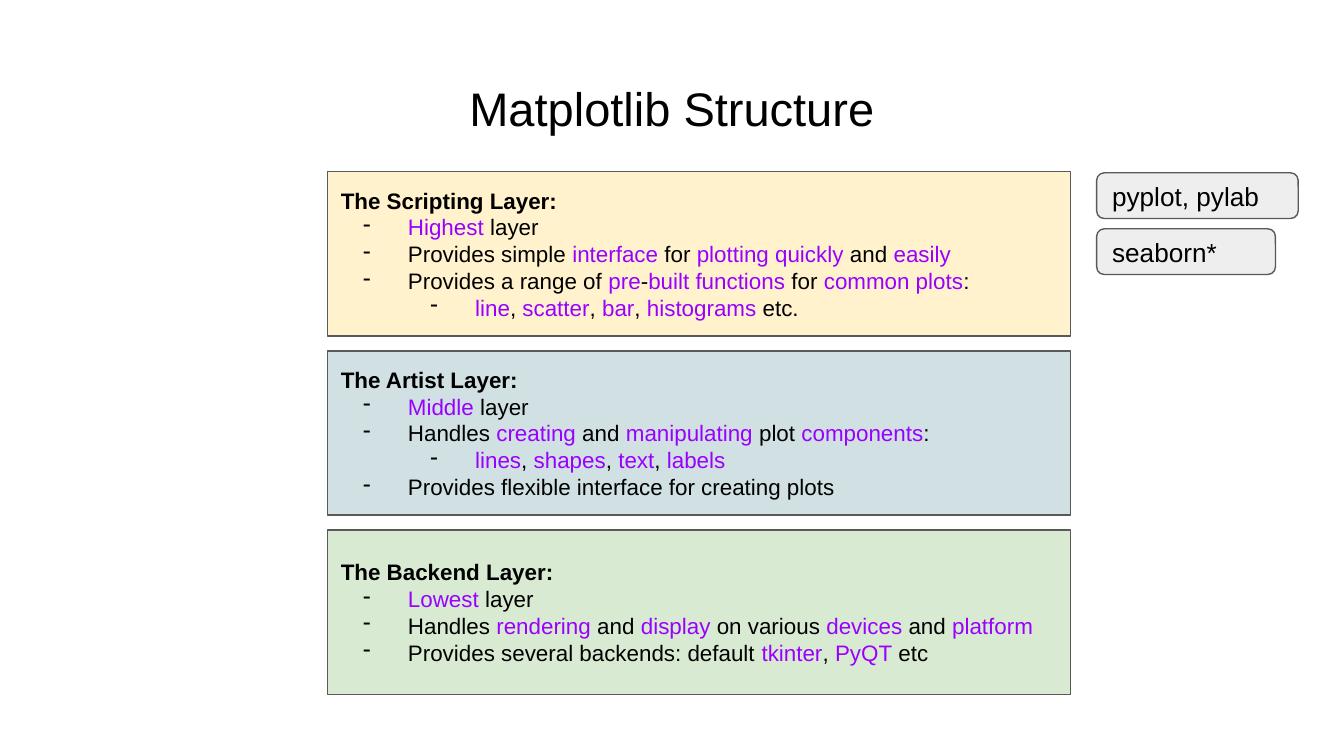
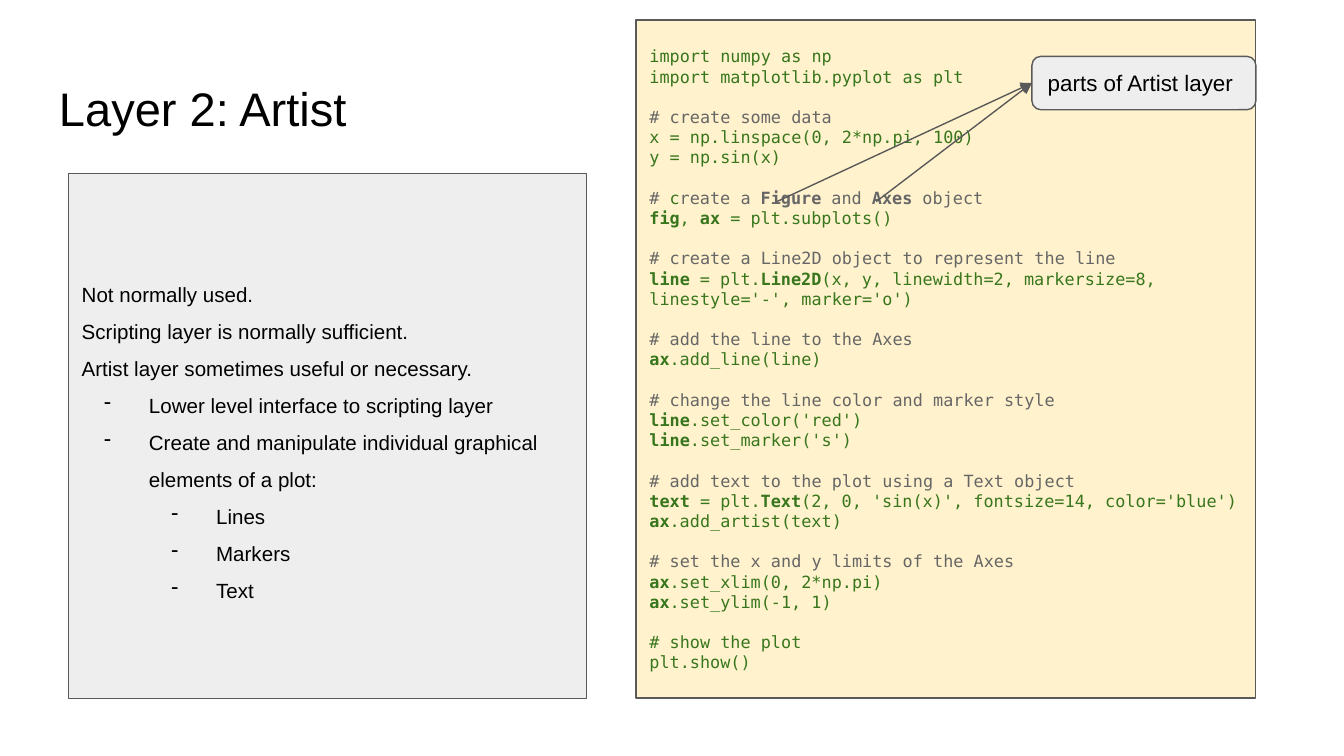
from pptx import Presentation
from pptx.dml.color import RGBColor
from pptx.enum.shapes import MSO_CONNECTOR, MSO_SHAPE
from pptx.enum.text import MSO_ANCHOR, PP_ALIGN
from pptx.oxml.ns import qn
from pptx.util import Pt
from lxml.etree import SubElement

BLACK, PURPLE, GREEN, COMMENT = "000000", "9900FF", "38761D", "666666"
OUTLINE, GREY, CREAM, BLUE, MINT = "595959", "EEEEEE", "FFF2CC", "D0E0E3", "D9EAD3"
SANS, MONO = "Arial", "DejaVu Sans Mono"
INSET = Pt(7.2)
color = RGBColor.from_string


def add_panel(slide, kind, left, top, width, height, fill):
    panel = slide.shapes.add_shape(kind, Pt(left), Pt(top), Pt(width), Pt(height))
    panel.shadow.inherit = False
    panel.fill.solid()
    panel.fill.fore_color.rgb = color(fill)
    panel.line.color.rgb = color(OUTLINE)
    panel.line.width = Pt(0.75)
    panel.text_frame.vertical_anchor = MSO_ANCHOR.MIDDLE
    return panel.text_frame


def write_lines(frame, lines, size, font=SANS, ink=BLACK, accent=BLACK):
    frame.word_wrap = True
    frame.margin_left = frame.margin_right = INSET
    frame.margin_top = frame.margin_bottom = INSET
    for number, (level, marked) in enumerate(lines):
        paragraph = frame.add_paragraph() if number else frame.paragraphs[0]
        paragraph.alignment = PP_ALIGN.LEFT
        for position, piece in enumerate(marked.split("|")):
            if piece:
                run = paragraph.add_run()
                run.text = piece
                run.font.size = Pt(size)
                run.font.name = font
                run.font.bold = False
                run.font.color.rgb = color(accent if position % 2 else ink)
        if level:
            paragraph.level = level - 1
            properties = paragraph._p.get_or_add_pPr()
            properties.set("marL", str(Pt(36 * level)))
            properties.set("indent", str(Pt(-24)))
            bullet_color = SubElement(properties, qn("a:buClr"))
            SubElement(bullet_color, qn("a:srgbClr"), val=BLACK)
            SubElement(properties, qn("a:buChar"), char="-")


deck = Presentation()
deck.slide_width, deck.slide_height = Pt(720), Pt(405)
slides = []
for heading, alignment in [
    ("Matplotlib Structure", PP_ALIGN.CENTER),
    ("Layer 2: Artist", PP_ALIGN.LEFT),
]:
    slide = deck.slides.add_slide(deck.slide_layouts[6])
    title = slide.shapes.add_textbox(Pt(24.5), Pt(35.3), Pt(671), Pt(45.4)).text_frame
    write_lines(title, [(0, heading)], 25.2)
    title.paragraphs[0].alignment = alignment
    slides.append(slide)
structure, artist = slides

layers = [
    (CREAM, [
        (0, "The Scripting Layer:"),
        (1, "|Highest |layer"),
        (1, "Provides simple |interface| for |plotting quickly| and |easily"),
        (1, "Provides a range of |pre|-|built functions| for |common plots|:"),
        (2, "|line|, |scatter|, |bar|, |histograms| etc."),
    ]),
    (BLUE, [
        (0, "The Artist Layer:"),
        (1, "|Middle |layer"),
        (1, "Handles |creating| and |manipulating| plot |components|:"),
        (2, "|lines|, |shapes|, |text|, |labels"),
        (1, "Provides flexible interface for creating plots"),
    ]),
    (MINT, [
        (0, "The Backend Layer:"),
        (1, "|Lowest |layer"),
        (1, "Handles |rendering| and |display| on various |devices| and |platform"),
        (1, "Provides several backends: default |tkinter|, |PyQT| etc"),
    ]),
]
for row, (fill, lines) in enumerate(layers):
    layer = add_panel(structure, MSO_SHAPE.RECTANGLE, 175.5, 92 + 96 * row, 398.2, 88, fill)
    write_lines(layer, lines, 12, accent=PURPLE)
    layer.paragraphs[0].runs[0].font.bold = True

for row, (library, width) in enumerate([("pyplot, pylab", 108), ("seaborn*", 95.8)]):
    tag = add_panel(structure, MSO_SHAPE.ROUNDED_RECTANGLE, 587.5, 92.6 + 30 * row, width, 24.5, GREY)
    write_lines(tag, [(0, library)], 14)

usage = add_panel(artist, MSO_SHAPE.RECTANGLE, 36.7, 92.8, 277.4, 281.4, GREY)
write_lines(usage, [
    (0, "Not normally used."),
    (0, "Scripting layer is normally sufficient."),
    (0, "Artist layer sometimes useful or necessary."),
    (1, "Lower level interface to scripting layer"),
    (1, "Create and manipulate individual graphical elements of a plot:"),
    (2, "Lines"),
    (2, "Markers"),
    (2, "Text"),
], 11)
for paragraph in usage.paragraphs:
    paragraph.line_spacing = 1.5

code_blocks = [
    ["import numpy as np", "import matplotlib.pyplot as plt"],
    ["# create some data", "x = np.linspace(0, 2*np.pi, 100)", "y = np.sin(x)"],
    ["#| c|reate a |Figure |and |Axes |object", "|fig|, |ax| = plt.subplots()"],
    ["# create a Line2D object to represent the line",
     "|line |= plt.|Line2D|(x, y, linewidth=2, markersize=8, linestyle='-', marker='o')"],
    ["# add the line to the Axes", "|ax|.add_line(line)"],
    ["# change the line color and marker style",
     "|line|.set_color('red')", "|line|.set_marker('s')"],
    ["# add text to the plot using a Text object",
     "|text| = plt.|Text|(2, 0, 'sin(x)', fontsize=14, color='blue')",
     "|ax|.add_artist(text)"],
    ["# set the x and y limits of the Axes",
     "|ax|.set_xlim(0, 2*np.pi)", "|ax|.set_ylim(-1, 1)"],
    ["# show the plot", "plt.show()"],
]
code_lines = [(0, line) for block in code_blocks for line in block]
block_starts = [sum(map(len, code_blocks[:index])) for index in range(1, len(code_blocks))]
code = add_panel(artist, MSO_SHAPE.RECTANGLE, 340.8, 10.8, 331.8, 363.2, CREAM)
write_lines(code, code_lines, 9, MONO, GREEN, GREEN)
for number, (paragraph, (level, marked)) in enumerate(zip(code.paragraphs, code_lines)):
    if number in block_starts:
        paragraph.space_before = Pt(10.8)
    emphasized = marked.split("|")[1::2]
    for run in paragraph.runs:
        run.font.bold = run.text in emphasized and run.text != " c"
        if marked.startswith("#") and number < block_starts[-1] and run.text != " c":
            run.font.color.rgb = color(COMMENT)

callout = add_panel(artist, MSO_SHAPE.ROUNDED_RECTANGLE, 552.8, 30.2, 120, 28.6, GREY)
write_lines(callout, [(0, "parts of Artist layer")], 12)
for start in (416.2, 469.4):
    arrow = artist.shapes.add_connector(
        MSO_CONNECTOR.STRAIGHT, Pt(start), Pt(108), Pt(552.8), Pt(44.5))
    arrow.line.color.rgb = color(OUTLINE)
    arrow.line.width = Pt(0.75)
    SubElement(arrow.line._get_or_add_ln(), qn("a:tailEnd"), type="triangle")
    SubElement(arrow._element.spPr, qn("a:effectLst"))

deck.save("out.pptx")
